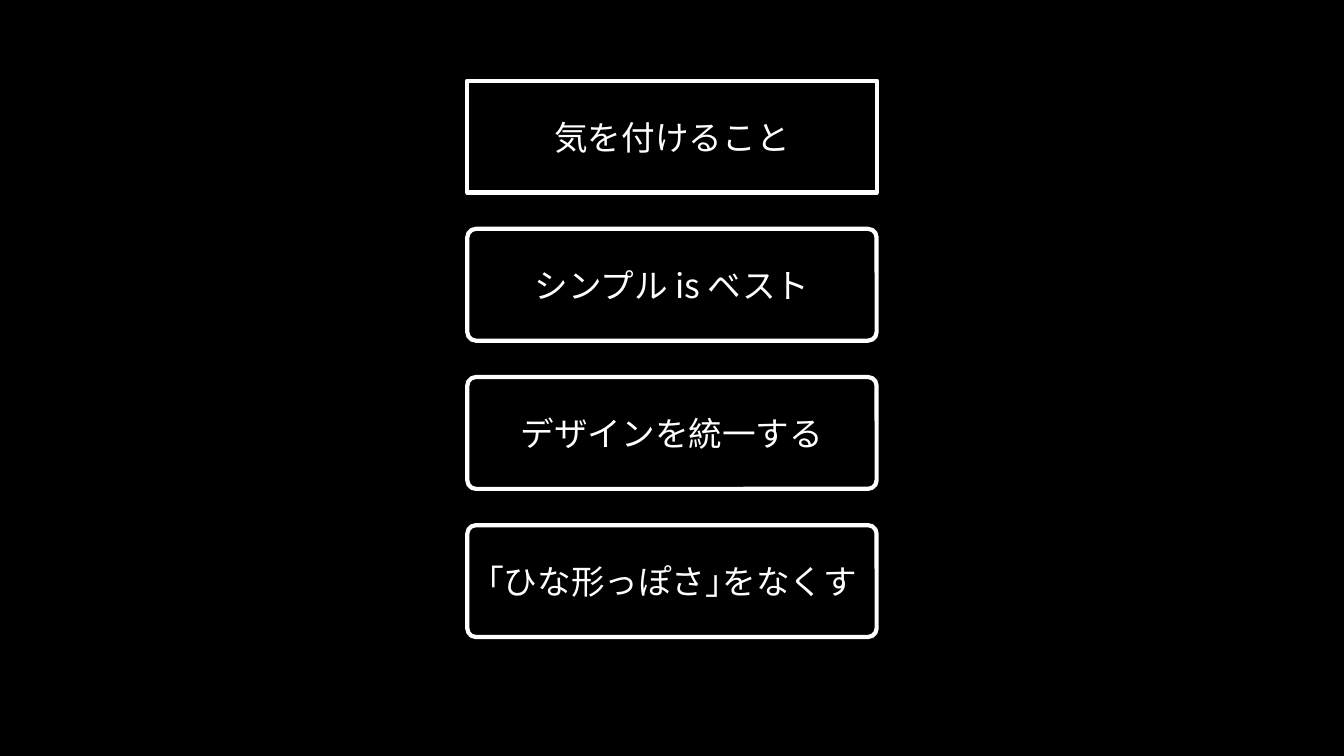
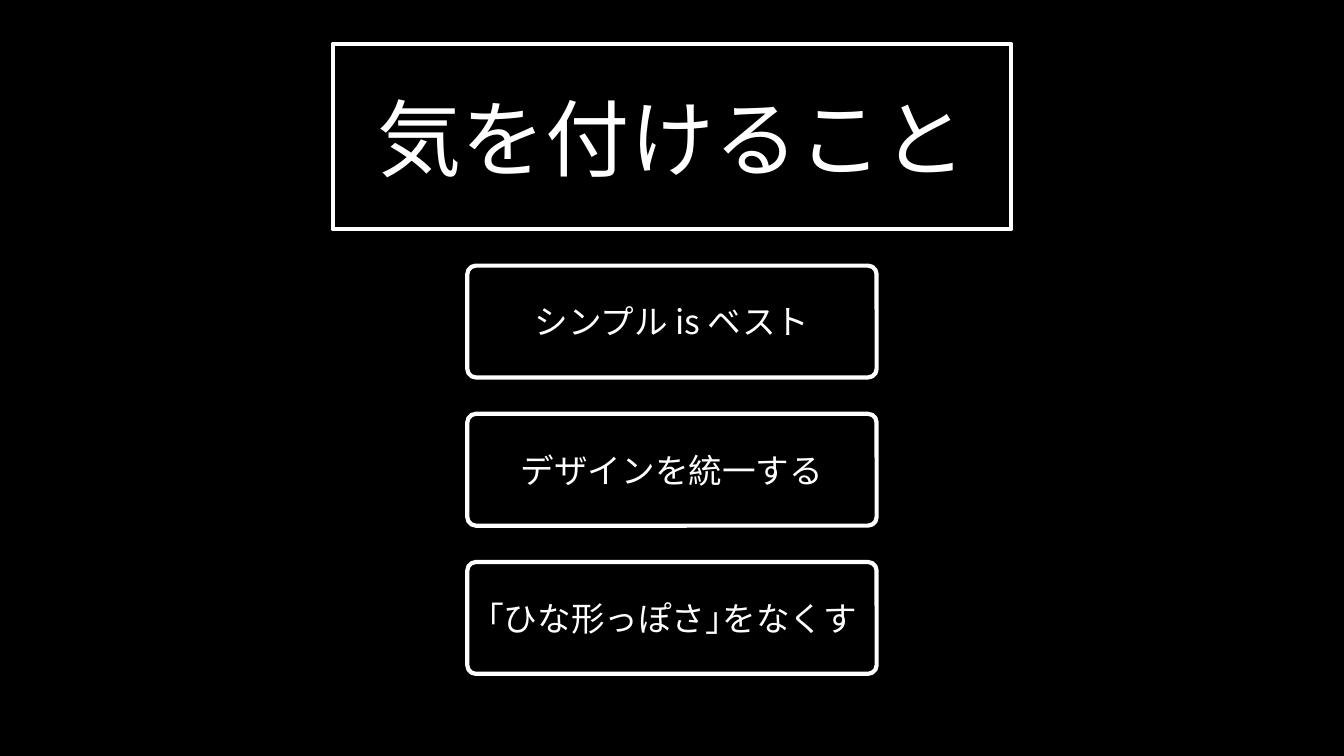
import dataclasses
import typing

import pptx
import pptx.dml.color
import pptx.enum.shapes
import pptx.enum.text
import pptx.oxml
import pptx.oxml.ns
import pptx.util

Inches = pptx.util.Inches

COLORS = {"back": "000000", "front": "FFFFFF"}
FONT = "Noto Sans CJK JP"
WIDE, HIGH = 13.33, 7.5
MID = 3.56
GAP = 0.36
ROUND = 0.077
TITLE_ONLY = 5


@dataclasses.dataclass(frozen=True)
class Size:
    width: float
    height: float
    points: int


@dataclasses.dataclass(frozen=True)
class Box:
    text: str
    size: Size


SMALL = Size(4.06, 1.11, 24)
LARGE = Size(6.73, 1.84, 60)
TITLE = "気を付けること"
POINTS = [
    Box("シンプル is ベスト", SMALL),
    Box("デザインを統一する", SMALL),
    Box("｢ひな形っぽさ｣をなくす", SMALL),
]


def color(name: str) -> pptx.dml.color.RGBColor:
    return pptx.dml.color.RGBColor.from_string(COLORS[name])


def place(shape: typing.Any, box: Box, top: float) -> None:
    shape.left = Inches((WIDE - box.size.width) / 2)
    shape.top = Inches(top)
    shape.width = Inches(box.size.width)
    shape.height = Inches(box.size.height)


def round_off(shape: typing.Any) -> None:
    shape._element.spPr.append(pptx.oxml.parse_xml(
        f'<a:prstGeom {pptx.oxml.ns.nsdecls("a")} prst="roundRect"><a:avLst>'
        f'<a:gd name="adj" fmla="val {round(ROUND * 100000)}"/>'
        '</a:avLst></a:prstGeom>'))


def style(shape: typing.Any, box: Box) -> None:
    shape.fill.background()
    shape.line.color.rgb = color("front")
    shape.line.width = pptx.util.Pt(3)
    frame = shape.text_frame
    frame.word_wrap = True
    frame.auto_size = pptx.enum.text.MSO_AUTO_SIZE.NONE
    frame.vertical_anchor = pptx.enum.text.MSO_ANCHOR.MIDDLE
    para = frame.paragraphs[0]
    para.alignment = pptx.enum.text.PP_ALIGN.CENTER
    run = para.add_run()
    run.text = box.text
    run.font.size = pptx.util.Pt(box.size.points)
    run.font.color.rgb = color("front")
    run.font.name = FONT
    run.font._element.append(pptx.oxml.parse_xml(
        f'<a:ea {pptx.oxml.ns.nsdecls("a")} typeface="{FONT}"/>'))


def draw_title(slide: typing.Any, box: Box, top: float) -> None:
    shape = slide.shapes.title
    place(shape, box, top)
    round_off(shape)
    style(shape, box)


def draw_point(slide: typing.Any, box: Box, top: float) -> None:
    shape = slide.shapes.add_shape(
        pptx.enum.shapes.MSO_SHAPE.ROUNDED_RECTANGLE, 0, 0, 0, 0)
    place(shape, box, top)
    shape.adjustments[0] = ROUND
    shape.shadow.inherit = False
    style(shape, box)


def add_slide(deck: typing.Any, head: Size) -> None:
    slide = deck.slides.add_slide(deck.slide_layouts[TITLE_ONLY])
    boxes = [Box(TITLE, head), *POINTS]
    total = sum(box.size.height for box in boxes) + GAP * (len(boxes) - 1)
    top = MID - total / 2
    for index, box in enumerate(boxes):
        draw = draw_point if index else draw_title
        draw(slide, box, top)
        top += box.size.height + GAP


def main() -> None:
    deck = pptx.Presentation()
    deck.slide_width = Inches(WIDE)
    deck.slide_height = Inches(HIGH)
    back = deck.slide_master.background.fill
    back.solid()
    back.fore_color.rgb = color("back")
    for head in (SMALL, LARGE):
        add_slide(deck, head)
    deck.save("out.pptx")


if __name__ == "__main__":
    main()
